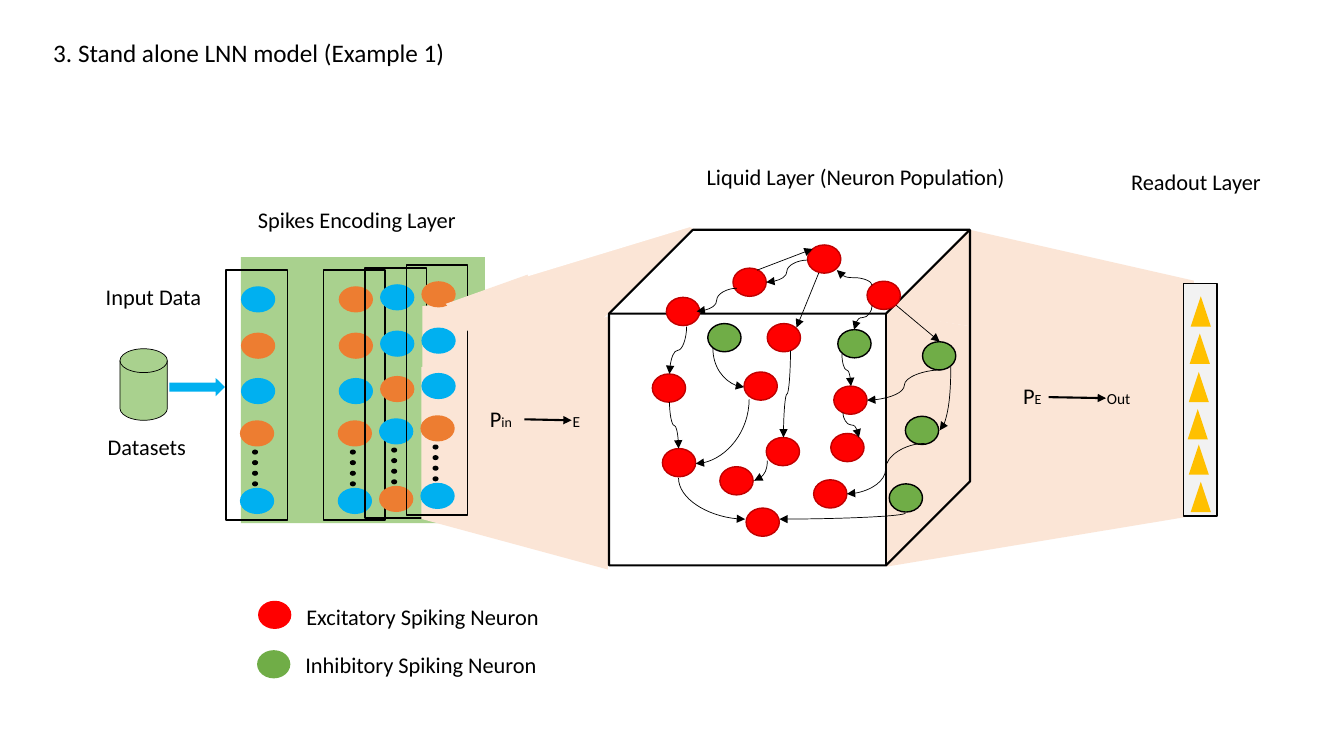
from lxml.etree import SubElement
from pptx import Presentation
from pptx.dml.color import RGBColor
from pptx.enum.shapes import MSO_CONNECTOR, MSO_SHAPE
from pptx.enum.text import MSO_AUTO_SIZE
from pptx.oxml.ns import qn
from pptx.util import Inches, Pt

COLORS = {
    "beam": "FBE5D6", "panel": "A9D18E", "blue": "00B0F0", "orange": "ED7D31",
    "red": "FF0000", "dark red": "C00000", "green": "70AD47", "gold": "FFC000",
    "gray": "F2F2F2", "black": "000000", "white": "FFFFFF",
}

presentation = Presentation()
presentation.slide_width = Inches(13.33)
presentation.slide_height = Inches(7.5)
slide = presentation.slides.add_slide(presentation.slide_layouts[6])


def add_shape(kind, left, top, width, height, fill=None, line=None, weight=1, rotation=0):
    shape = slide.shapes.add_shape(kind, Inches(left), Inches(top), Inches(width), Inches(height))
    shape.shadow.inherit = False
    shape.rotation = rotation
    if fill:
        shape.fill.solid()
        shape.fill.fore_color.rgb = RGBColor.from_string(COLORS[fill])
    else:
        shape.fill.background()
    if line:
        shape.line.color.rgb = RGBColor.from_string(COLORS[line])
        shape.line.width = Pt(weight)
    else:
        shape.line.fill.background()


def add_arrow(start, end, route="straight", weight=0.5):
    """Route is straight, across (S leaving sideways), down (S leaving vertically) or bend."""
    (x1, y1), (x2, y2) = start, end
    upright = route in ("down", "bend")
    run, rise = x2 - x1, y2 - y1
    if upright:  # the frame lies on its side around the same centre, then is turned
        middle_x, middle_y = (x1 + x2) / 2, (y1 + y2) / 2
        x1, x2 = middle_x - abs(rise) / 2, middle_x + abs(rise) / 2
        y1, y2 = middle_y - abs(run) / 2, middle_y + abs(run) / 2
    kind = MSO_CONNECTOR.STRAIGHT if route == "straight" else MSO_CONNECTOR.CURVE
    connector = slide.shapes.add_connector(kind, Inches(x1), Inches(y1), Inches(x2), Inches(y2))
    connector.line.color.rgb = RGBColor.from_string(COLORS["black"])
    connector.line.width = Pt(weight)
    properties = connector._element.spPr
    if upright:
        frame = properties.find(qn("a:xfrm"))
        frame.set("rot", str((90 if rise > 0 else 270) * 60000))
        if run * rise > 0:
            frame.set("flipV", "1")
    if route == "bend":
        properties.find(qn("a:prstGeom")).set("prst", "curvedConnector2")
    SubElement(properties.find(qn("a:ln")), qn("a:tailEnd"), type="triangle")
    SubElement(properties, qn("a:effectLst"))


# Beam from liquid layer to readout layer
add_shape(MSO_SHAPE.ISOSCELES_TRIANGLE, 8.9, 2.57, 1.17, 0.81, "beam", rotation=134.6)
add_shape(MSO_SHAPE.FLOWCHART_MANUAL_OPERATION, 9.47, 2.43, 2.52, 2.22, "beam", rotation=270)
add_shape(MSO_SHAPE.FLOWCHART_MANUAL_OPERATION, 9.06, 2.84, 2.52, 3.04, "beam", rotation=270)

# Input data and encoding panel
add_shape(MSO_SHAPE.RECTANGLE, 2.39, 2.55, 2.42, 2.64, "panel")
add_shape(MSO_SHAPE.FLOWCHART_MAGNETIC_DISK, 1.19, 3.46, 0.47, 0.71, "panel", "black", 0.5)
add_shape(MSO_SHAPE.RIGHT_ARROW, 1.68, 3.75, 0.55, 0.18, "blue")

# Spike columns; the last one stands in front of the left beam
spike_offsets = [(0.15, 0.16), (0.15, 0.62), (0.15, 1.07), (0.14, 1.49), (0.14, 2.16)]
spike_columns = [
    (2.24, 2.68, ["blue", "orange", "blue", "orange", "blue"]),
    (3.21, 2.68, ["orange", "orange", "blue", "orange", "blue"]),
    (3.62, 2.66, ["blue", "blue", "orange", "blue", "orange"]),
    (4.03, 2.63, ["orange", "blue", "blue", "orange", "blue"]),
]
for column, (left, top, fills) in enumerate(spike_columns):
    if column == 3:
        for beam_left, beam_top, width, height in [(3.85, 3.47, 2.51, 1.85), (4.51, 2.51, 1.04, 1.68)]:
            add_shape(MSO_SHAPE.FLOWCHART_MANUAL_OPERATION, beam_left, beam_top, width, height,
                      "beam", rotation=90)
    add_shape(MSO_SHAPE.RECTANGLE, left, top, 0.61, 2.48, line="black")
    for (across, down), fill in zip(spike_offsets, fills):
        add_shape(MSO_SHAPE.OVAL, left + across, top + down, 0.34, 0.26, fill)
    for dot in range(4):
        add_shape(MSO_SHAPE.OVAL, left + 0.26, top + 1.78 + 0.105 * dot, 0.06, 0.05, "black")

# Upper edge of the left beam
for left, top, width, height, fill, rotation in [
    (5.26, 2.6, 1.83, 0.73, "beam", 113.1),
    (4.42, 2.37, 1.82, 0.64, "beam", 321),
    (5.05, 2.15, 1.82, 0.64, "beam", 321),
    (4.93, 0.66, 2.06, 1.82, "white", 343.1),
]:
    add_shape(MSO_SHAPE.RIGHT_TRIANGLE, left, top, width, height, fill, rotation=rotation)

# Liquid layer
add_shape(MSO_SHAPE.CUBE, 6.04, 2.28, 3.58, 3.33, line="black", weight=1.5)
excitatory = [
    (7.27, 2.66), (8.07, 4.76), (7.6, 4.34), (6.47, 3.71), (7.38, 3.69), (8.27, 3.83),
    (8.6, 2.79), (6.61, 2.95), (7.61, 3.21), (6.57, 4.45), (8.01, 2.43), (7.14, 4.63),
    (8.24, 4.3), (7.4, 5.04),
]
inhibitory = [(8.31, 3.27), (9.15, 3.39), (8.98, 4.13), (8.82, 4.8), (7.02, 3.21)]
for neurons, fill, line in [(excitatory, "red", "dark red"), (inhibitory, "green", "black")]:
    for left, top in neurons:
        add_shape(MSO_SHAPE.OVAL, left, top, 0.33, 0.28, fill, line)

synapses = {
    "straight": [((8.12, 2.71), (7.9, 3.25)), ((8.89, 3.03), (9.32, 3.39)),
                 ((7.51, 2.68), (8.06, 2.47))],
    "across": [((8.01, 2.58), (7.6, 2.8)), ((7.31, 2.86), (6.91, 3.09)),
               ((9.34, 3.67), (8.6, 3.97)), ((9.17, 4.4), (8.4, 4.9))],
    "down": [((6.81, 3.24), (6.64, 3.71)), ((8.65, 2.83), (8.3, 2.68)),
             ((6.64, 3.99), (6.73, 4.45)), ((7.84, 3.48), (7.77, 4.34)),
             ((8.35, 3.51), (8.44, 3.83)), ((8.65, 3.03), (8.47, 3.27)),
             ((8.36, 4.09), (8.52, 4.34))],
    "bend": [((9.43, 3.64), (9.32, 4.27)), ((7.43, 3.96), (6.9, 4.6)),
             ((8.98, 5.09), (7.73, 5.15)), ((6.73, 4.74), (7.39, 5.15)),
             ((7.07, 3.45), (7.38, 3.84)), ((7.61, 4.57), (7.48, 4.77))],
}
for route, links in synapses.items():
    for start, end in links:
        add_arrow(start, end, route)

# Legend
add_shape(MSO_SHAPE.OVAL, 2.56, 5.96, 0.33, 0.28, "red")
add_shape(MSO_SHAPE.OVAL, 2.55, 6.45, 0.33, 0.28, "green")

# Readout layer
add_shape(MSO_SHAPE.RECTANGLE, 11.74, 2.81, 0.33, 2.31, "gray", "black")
for left, top in [(11.81, 2.94), (11.8, 3.31), (11.79, 3.69), (11.78, 4.06), (11.79, 4.41), (11.81, 4.78)]:
    add_shape(MSO_SHAPE.ISOSCELES_TRIANGLE, left, top, 0.2, 0.3, "gold")

# Projection arrows
add_arrow((5.2, 4.16), (5.67, 4.17), weight=1.5)
add_arrow((10.4, 3.94), (10.97, 3.95), weight=1.5)

# Labels: left, top, width, height, runs of (text, size), tab stop
labels = [
    (0.43, 0.32, 6.9, 0.4, [("3. Stand alone LNN model (Example 1)", 18)], None),
    (0.97, 4.25, 1.06, 0.37, [("Datasets", 16)], None),
    (0.95, 2.76, 1.22, 0.37, [("Input Data", 16)], None),
    (2.46, 2, 2.68, 0.37, [("Spikes Encoding Layer", 16)], None),
    (6.91, 1.57, 3.4, 0.37, [("Liquid Layer (Neuron Population)", 16)], None),
    (11.12, 1.62, 2.2, 0.37, [("Readout Layer", 16)], None),
    (2.94, 5.93, 2.68, 0.37, [("Excitatory Spiking Neuron", 16)], None),
    (2.93, 6.41, 2.68, 0.37, [("Inhibitory Spiking Neuron", 16)], None),
    (4.76, 3.97, 1.22, 0.37, [("P", 16), ("in", 10), ("\t", 16), ("E", 11)], 0.82),
    (10.05, 3.74, 1.5, 0.56, [("P", 16), ("E", 10), ("\t", 16), ("Out", 11)], 0.83),
]
for left, top, width, height, runs, tab_stop in labels:
    box = slide.shapes.add_textbox(Inches(left), Inches(top), Inches(width), Inches(height))
    frame_format = {"word_wrap": True, "auto_size": MSO_AUTO_SIZE.SHAPE_TO_FIT_TEXT}
    for name, value in frame_format.items():
        setattr(box.text_frame, name, value)
    paragraph = box.text_frame.paragraphs[0]
    if tab_stop:
        tabs = SubElement(paragraph._p.get_or_add_pPr(), qn("a:tabLst"))
        SubElement(tabs, qn("a:tab"), pos=str(Inches(tab_stop)), algn="l")
    for text, size in runs:
        run = paragraph.add_run()
        run.text = text
        for name, value in {"name": "Calibri", "size": Pt(size)}.items():
            setattr(run.font, name, value)
        run.font.color.rgb = RGBColor.from_string(COLORS["black"])

presentation.save("out.pptx")
